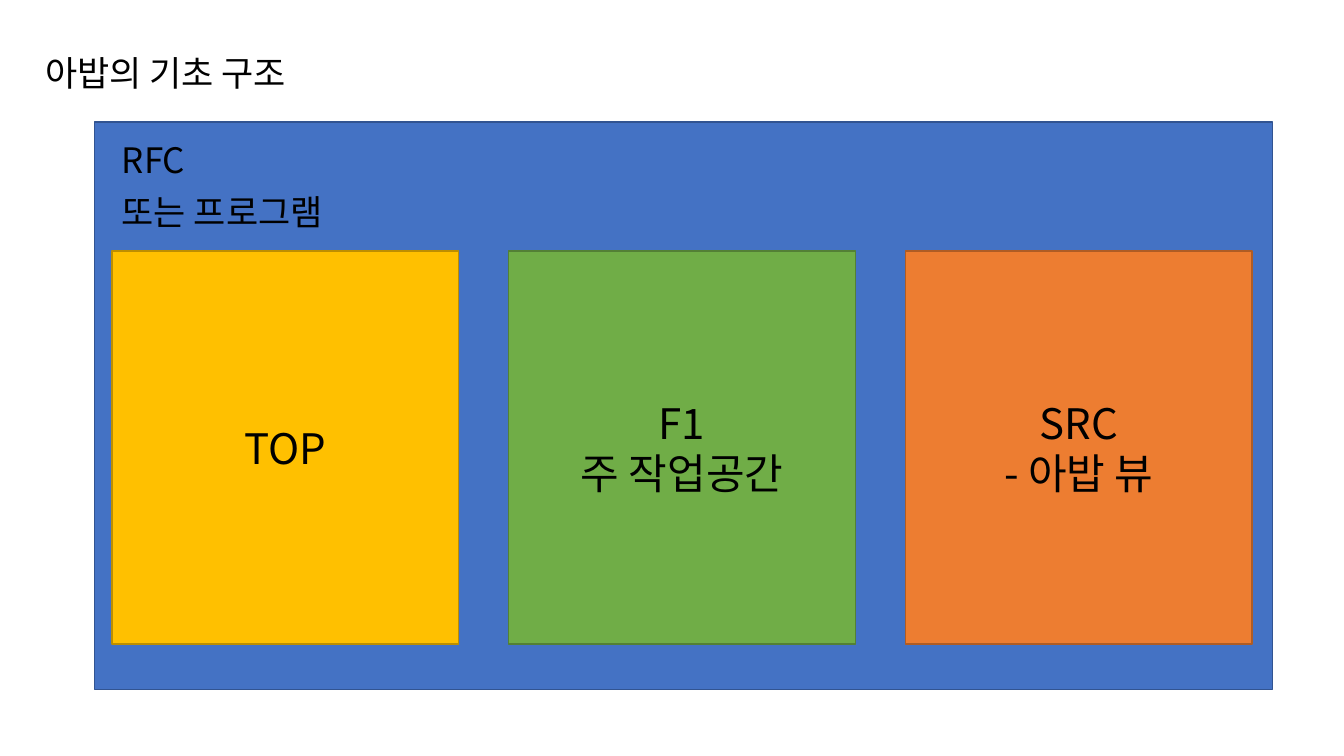
from pptx import Presentation
from pptx.dml.color import RGBColor
from pptx.enum.shapes import MSO_SHAPE
from pptx.enum.text import MSO_ANCHOR, PP_ALIGN
from pptx.util import Inches, Pt
from lxml.etree import SubElement
from pptx.oxml.ns import qn

FONT = "Noto Sans CJK KR"
TEXT_W, TEXT_H = 5.89, 1.12
BLOCK_LEFT, BLOCK_TOP, BLOCK_W, BLOCK_H = 1.11, 2.49, 3.44, 3.9
BLOCK_STEP = 3.935
BLOCKS = [
    (["TOP"], "FFC000", "BD8E00"),
    (["F1", "주 작업공간"], "70AD47", "538035"),
    (["SRC", "- 아밥 뷰"], "ED7D31", "AF5C24"),
]


def rgb(value):
    return RGBColor.from_string(value)


def write(tf, lines, size):
    """Fill the frame with one paragraph per line and return the paragraphs."""
    tf.word_wrap = True
    tf.text = "\n".join(lines)
    for p in tf.paragraphs:
        p.font.size = Pt(size)
        p.font.color.rgb = rgb("000000")
        p.font.name = FONT
        # Hangul takes its typeface from the East Asian slot
        SubElement(p.font._element, qn("a:ea"), typeface=FONT)
    return tf.paragraphs


def add_label(s, left, top, lines):
    box = s.shapes.add_textbox(*map(Inches, (left, top, TEXT_W, TEXT_H)))
    for p in write(box.text_frame, lines, 25):
        p.line_spacing = 0.9
        p.space_before = Pt(10)


def add_box(s, left, top, width, height, fill, line):
    sp = s.shapes.add_shape(MSO_SHAPE.RECTANGLE, *map(Inches, (left, top, width, height)))
    sp.shadow.inherit = False
    sp.fill.solid()
    sp.fill.fore_color.rgb = rgb(fill)
    sp.line.color.rgb = rgb(line)
    sp.line.width = Pt(1)
    return sp


def add_block(s, column, lines, fill, line):
    left = BLOCK_LEFT + column * BLOCK_STEP
    tf = add_box(s, left, BLOCK_TOP, BLOCK_W, BLOCK_H, fill, line).text_frame
    tf.vertical_anchor = MSO_ANCHOR.MIDDLE
    for p in write(tf, lines, 30):
        p.alignment = PP_ALIGN.CENTER


def main():
    prs = Presentation()
    prs.slide_width, prs.slide_height = Inches(13.33), Inches(7.5)
    s = prs.slides.add_slide(prs.slide_layouts[6])
    add_label(s, 0.35, 0.51, ["아밥의 기초 구조"])
    add_box(s, 0.94, 1.21, 11.68, 5.63, "4472C4", "325491")
    add_label(s, BLOCK_LEFT, 1.37, ["RFC", "또는 프로그램"])
    for column, block in enumerate(BLOCKS):
        add_block(s, column, *block)
    prs.save("out.pptx")


if __name__ == "__main__":
    main()
